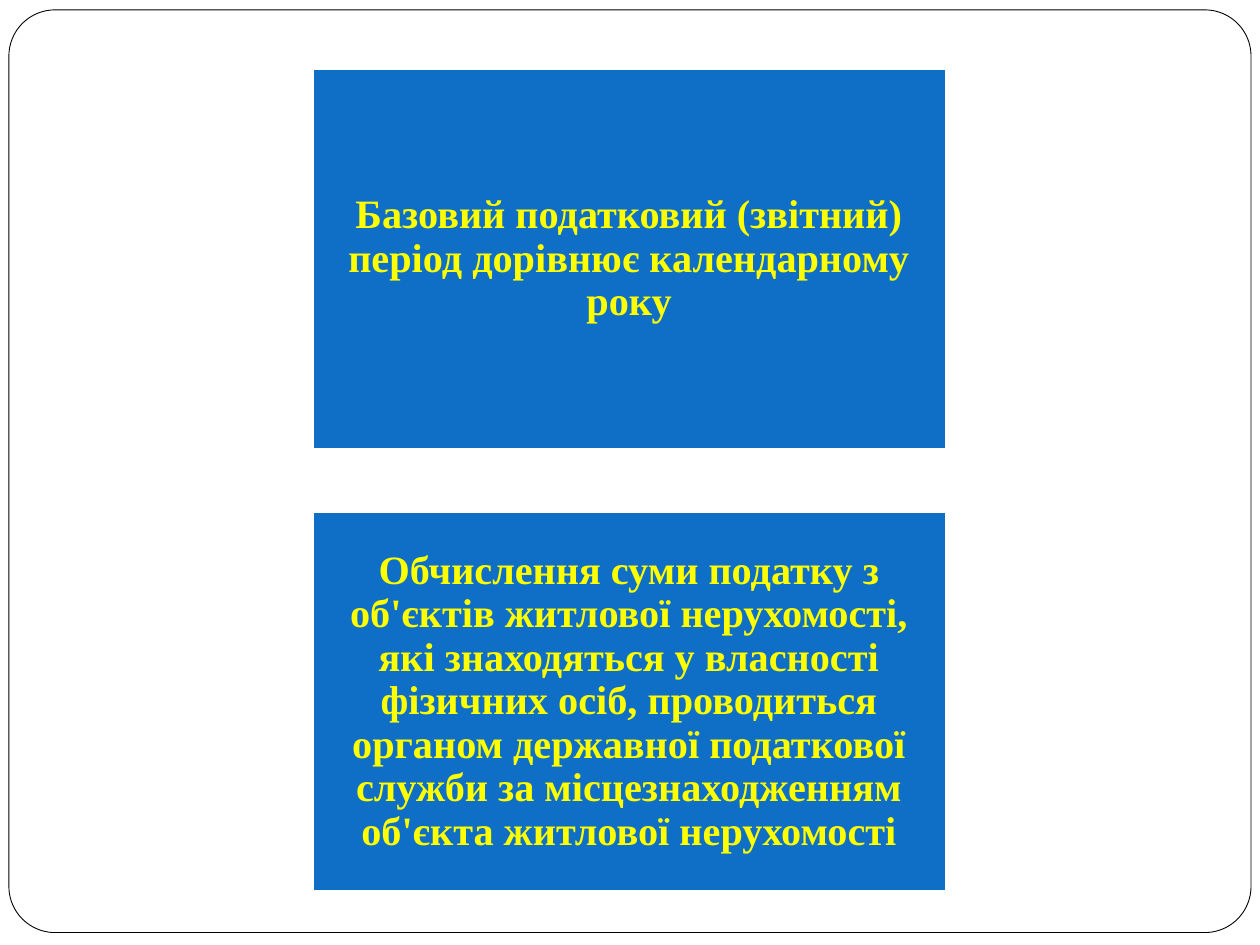
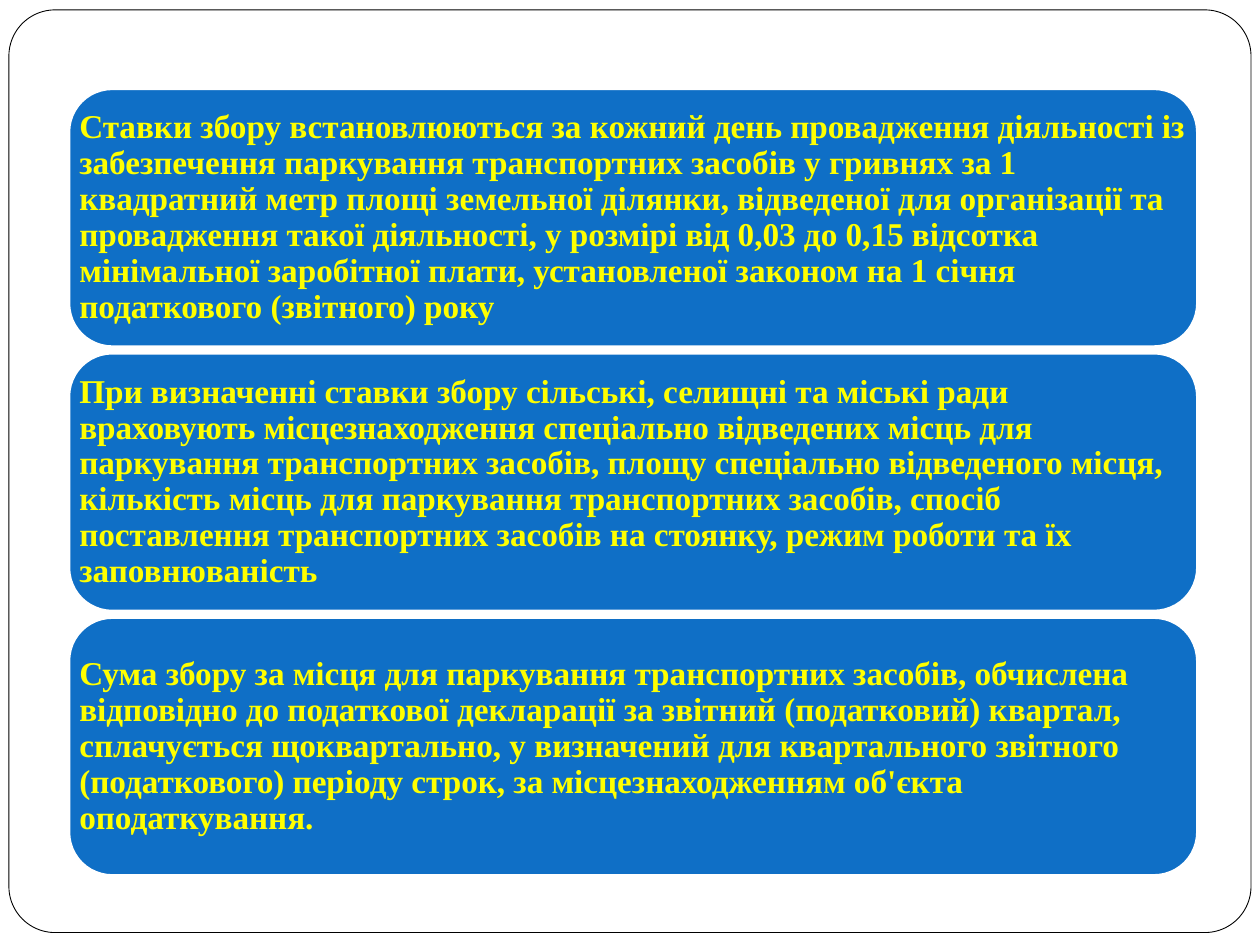
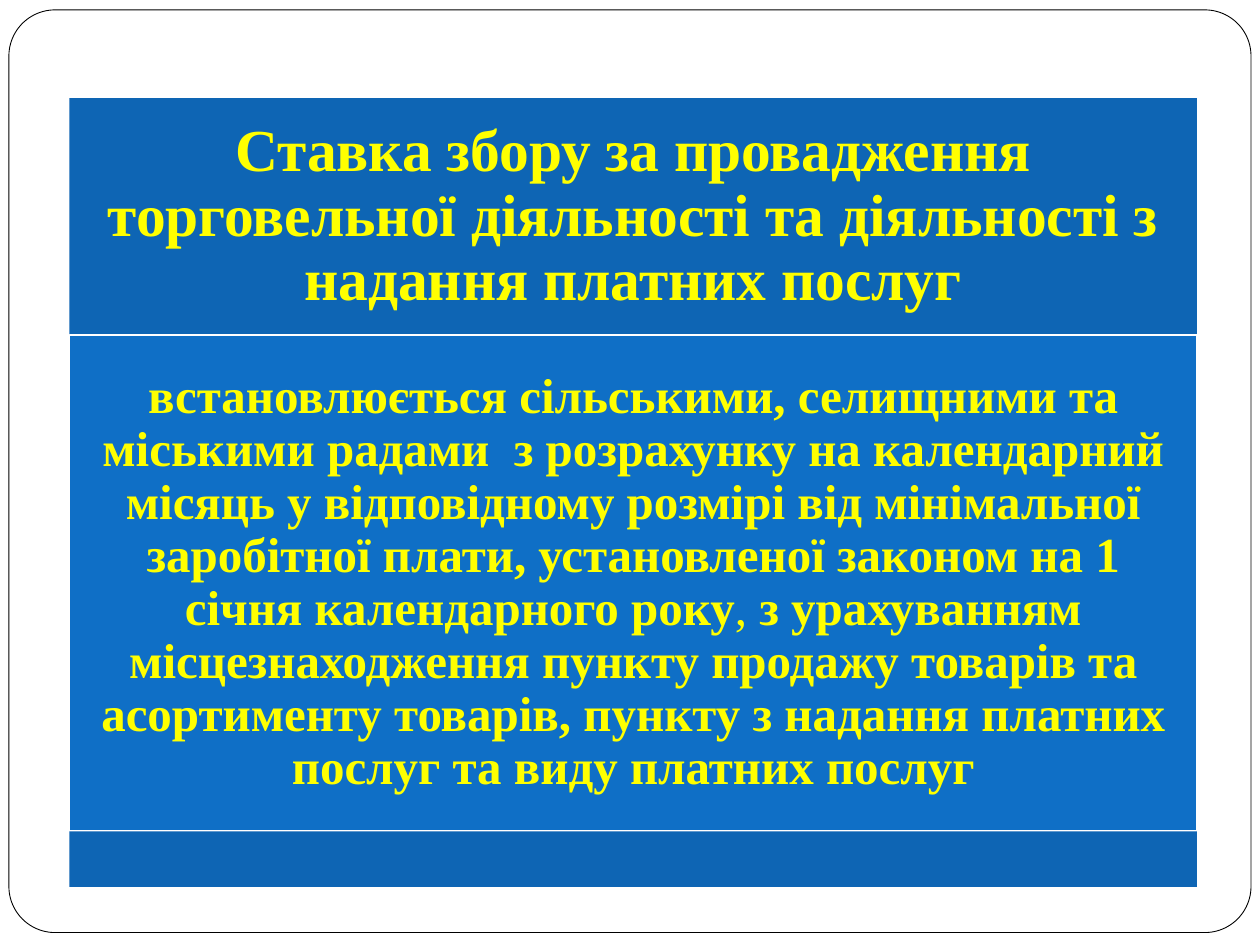
"""Build three slides on Ukrainian local taxes and fees."""
import dataclasses

import pptx
import pptx.dml.color
import pptx.enum.shapes
import pptx.enum.text
import pptx.util

Cm = pptx.util.Cm
Pt = pptx.util.Pt
SHAPES = pptx.enum.shapes.MSO_SHAPE
ALIGN = pptx.enum.text.PP_ALIGN

PERIOD_TEXTS = [
    "Базовий податковий (звітний) період дорівнює календарному року",
    "Обчислення суми податку з об'єктів житлової нерухомості, які знаходяться у власності "
    "фізичних осіб, проводиться органом державної податкової служби за місцезнаходженням "
    "об'єкта житлової нерухомості",
]
PARKING_TEXTS = [
    "Ставки збору встановлюються за кожний день провадження діяльності із забезпечення "
    "паркування транспортних засобів у гривнях за 1 квадратний метр площі земельної ділянки, "
    "відведеної для організації та провадження такої діяльності, у розмірі від 0,03 до 0,15 "
    "відсотка мінімальної заробітної плати, установленої законом на 1 січня податкового "
    "(звітного) року",
    "При визначенні ставки збору сільські, селищні та міські ради враховують місцезнаходження "
    "спеціально відведених місць для паркування транспортних засобів, площу спеціально "
    "відведеного місця, кількість місць для паркування транспортних засобів, спосіб "
    "поставлення транспортних засобів на стоянку, режим роботи та їх заповнюваність",
    "Сума збору за місця для паркування транспортних засобів, обчислена відповідно до "
    "податкової декларації за звітний (податковий) квартал, сплачується щоквартально, у "
    "визначений для квартального звітного (податкового) періоду строк, за місцезнаходженням "
    "об'єкта оподаткування.",
]
TRADE_TITLE = (
    "Ставка збору за провадження торговельної діяльності та діяльності з надання платних послуг"
)
TRADE_RUNS = [
    ("встановлюється сільськими, селищними та міськими радами  з розрахунку на календарний "
     "місяць у відповідному розмірі від мінімальної заробітної плати, установленої законом "
     "на 1 січня календарного року", True),
    (", ", False),
    ("з урахуванням місцезнаходження пункту продажу товарів та асортименту товарів, пункту з "
     "надання платних послуг та виду платних послуг", True),
]


@dataclasses.dataclass(frozen=True)
class Theme:
    """Colours, font and type sizes."""
    blue: str = "0F6FC6"
    dark_blue: str = "0E65B4"
    yellow: str = "FFFF00"
    white: str = "FFFFFF"
    black: str = "000000"
    font: str = "Times New Roman"
    title_size: int = 34
    body_size: int = 28
    period_size: int = 23
    parking_size: int = 19


def color(value):
    """Turn a hex string into a colour."""
    return pptx.dml.color.RGBColor.from_string(value)


class Deck:
    """Holds the theme, the presentation and the current slide."""

    def __init__(self, theme):
        """Start an empty 4:3 presentation."""
        self.theme = theme
        self.presentation = pptx.Presentation()
        self.presentation.slide_width = Cm(25.4)
        self.presentation.slide_height = Cm(19.05)
        self.slide = None

    def add_slide(self, layout_name="Blank"):
        """Add a slide and make it current."""
        layout = self.presentation.slide_layouts.get_by_name(layout_name)
        self.slide = self.presentation.slides.add_slide(layout)

    def paint(self, shape, fill, line=None, line_width=1):
        """Set the fill and the outline of a shape."""
        shape.fill.solid()
        shape.fill.fore_color.rgb = color(fill)
        if line is None:
            shape.line.fill.background()
        else:
            shape.line.color.rgb = color(line)
            shape.line.width = Pt(line_width)

    def box(self, bounds, fill, line=None, kind=SHAPES.RECTANGLE, line_width=1):
        """Draw a filled shape without shadow."""
        shape = self.slide.shapes.add_shape(kind, *map(Cm, bounds))
        shape.shadow.inherit = False
        self.paint(shape, fill, line, line_width)
        return shape

    def master_frame(self):
        """Put the rounded page frame on the slide master."""
        frame = self.box((0.18, 0.2, 25.04, 18.6), self.theme.white, self.theme.black,
                         SHAPES.ROUNDED_RECTANGLE, 0.5)
        frame.adjustments[0] = 0.05
        self.presentation.slide_master.shapes.element.insert(2, frame.element)

    def set_text(self, shape, runs, size, margin, alignment=ALIGN.CENTER):
        """Fill a shape with one paragraph of (text, bold) runs."""
        text_frame = shape.text_frame
        text_frame.word_wrap = True
        text_frame.auto_size = pptx.enum.text.MSO_AUTO_SIZE.NONE
        text_frame.vertical_anchor = pptx.enum.text.MSO_ANCHOR.MIDDLE
        text_frame.margin_left = text_frame.margin_right = Cm(margin)
        text_frame.margin_top = text_frame.margin_bottom = Cm(margin)
        paragraph = text_frame.paragraphs[0]
        paragraph.alignment = alignment
        paragraph.line_spacing = 0.9
        for text, bold in runs:
            run = paragraph.add_run()
            run.text = text
            run.font.name = self.theme.font
            run.font.size = Pt(size)
            run.font.bold = bold
            run.font.color.rgb = color(self.theme.yellow)

    def block(self, bounds, runs, size, margin):
        """Draw a blue rectangle with centred text."""
        shape = self.box(bounds, self.theme.blue, self.theme.white)
        self.set_text(shape, runs, size, margin)

    def card(self, bounds, text):
        """Draw a rounded card whose text spans its full width."""
        self.box(bounds, self.theme.blue, self.theme.white, SHAPES.ROUNDED_RECTANGLE)
        label = self.slide.shapes.add_textbox(*map(Cm, bounds))
        self.set_text(label, [(text, True)], self.theme.parking_size, 0.2, ALIGN.LEFT)

    def title(self, bounds, text):
        """Place the slide title as a dark blue band."""
        title = self.slide.shapes.title
        title.left, title.top, title.width, title.height = map(Cm, bounds)
        self.paint(title, self.theme.dark_blue)
        self.set_text(title, [(text, True)], self.theme.title_size, 0.36)


def main():
    """Build and save the slides."""
    theme = Theme()
    deck = Deck(theme)
    left, width = 1.4, 22.73

    deck.add_slide()
    deck.master_frame()
    block_height, block_gap = 7.65, 1.27
    for index, text in enumerate(PERIOD_TEXTS):
        top = 1.4 + index * (block_height + block_gap)
        deck.block((6.31, top, 12.75, block_height), [(text, True)], theme.period_size, 0.25)

    deck.add_slide()
    card_height, card_gap = 5.18, 0.15
    for index, text in enumerate(PARKING_TEXTS):
        deck.card((left, 1.8 + index * (card_height + card_gap), width, card_height), text)

    deck.add_slide("Title Only")
    title_top, title_height, body_height, band_height = 1.98, 4.78, 10, 1.12
    body_top = title_top + title_height
    deck.title((left, title_top, width, title_height), TRADE_TITLE)
    deck.block((left, body_top, width, body_height), TRADE_RUNS, theme.body_size, 0.3)
    deck.box((left, body_top + body_height, width, band_height), theme.dark_blue)

    deck.presentation.save("out.pptx")


if __name__ == "__main__":
    main()
